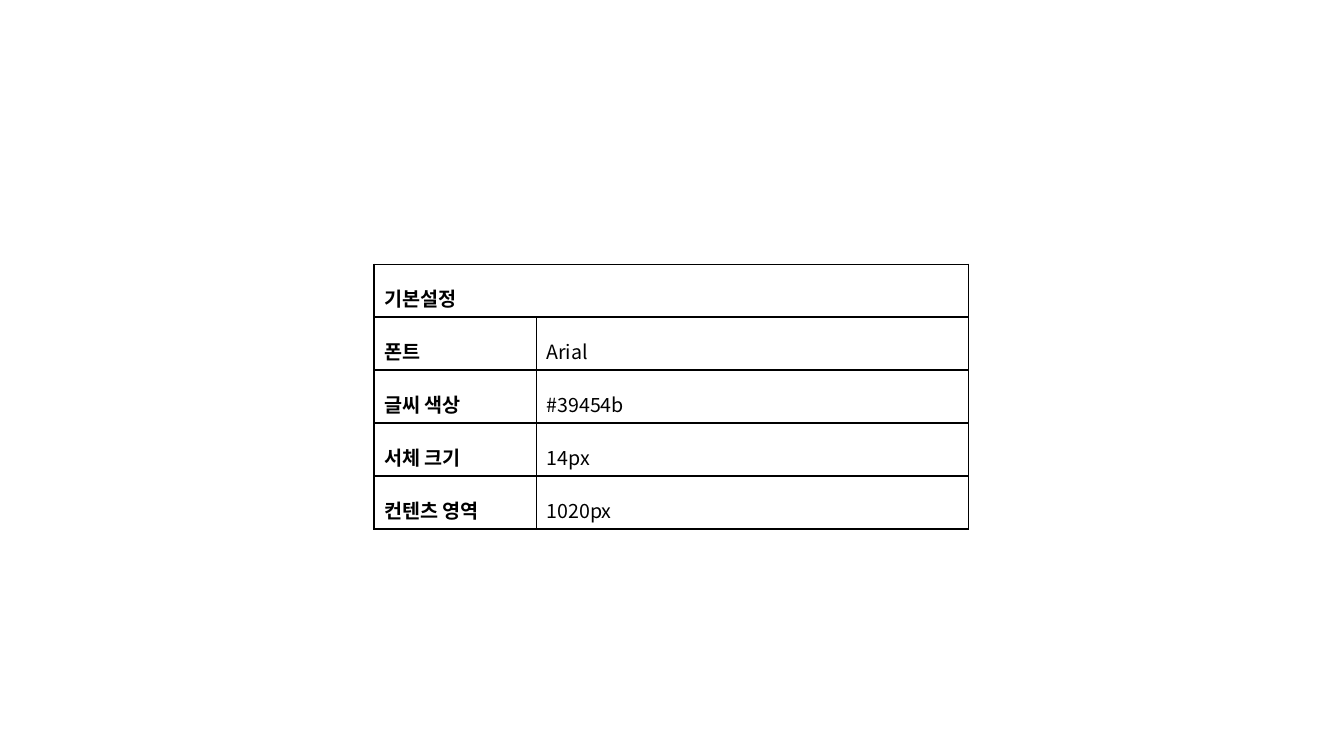
from dataclasses import dataclass

from lxml.etree import SubElement
from pptx import Presentation
from pptx.dml.color import RGBColor
from pptx.oxml.ns import qn
from pptx.util import Inches, Pt


@dataclass(frozen=True)
class Theme:
    font: str = "Noto Sans CJK KR"
    ink: str = "000000"
    text_size: int = 14
    line_spacing: float = 1.5
    border: float = 1


THEME = Theme()
SLIDE_SIZE = (13.33, 7.5)
SETTINGS_BOX = (3.71, 2.62, 5.9, 2.05)
LABEL_SHARE = 1.61 / 5.9

HEADING = "기본설정"
SETTINGS = [
    ("폰트", "Arial"),
    ("글씨 색상", "#39454b"),
    ("서체 크기", "14px"),
    ("컨텐츠 영역", "1020px"),
]


def draw_borders(cell):
    """Rule all four sides; borders must precede the fill in tcPr."""
    props = cell._tc.get_or_add_tcPr()
    for position, side in enumerate(("lnL", "lnR", "lnT", "lnB")):
        line = SubElement(props, qn(f"a:{side}"), w=str(Pt(THEME.border)))
        fill = SubElement(line, qn("a:solidFill"))
        SubElement(fill, qn("a:srgbClr"), val=THEME.ink)
        props.insert(position, line)


def write_cell(cell, text, bold):
    cell.text = text
    paragraph = cell.text_frame.paragraphs[0]
    paragraph.line_spacing = THEME.line_spacing
    font = paragraph.font
    font.name, font.size, font.bold = THEME.font, Pt(THEME.text_size), bold
    font.color.rgb = RGBColor.from_string(THEME.ink)
    # Korean glyphs take the East Asian typeface
    SubElement(font._element, qn("a:ea"), typeface=THEME.font)


def add_settings_table(slide, box):
    left, top, width, height = map(Inches, box)
    rows = [(HEADING, "")] + SETTINGS
    table = slide.shapes.add_table(len(rows), 2, left, top, width, height).table
    table.first_row = table.horz_banding = False
    table.columns[0].width = round(width * LABEL_SHARE)
    table.columns[1].width = width - table.columns[0].width

    # Labels and values
    for row, texts in enumerate(rows):
        for column, text in enumerate(texts):
            cell = table.cell(row, column)
            cell.fill.background()
            draw_borders(cell)
            write_cell(cell, text, bold=column == 0)

    # Heading across both columns
    table.cell(0, 0).merge(table.cell(0, 1))


def main():
    deck = Presentation()
    deck.slide_width, deck.slide_height = map(Inches, SLIDE_SIZE)
    slide = deck.slides.add_slide(deck.slide_layouts[6])
    add_settings_table(slide, SETTINGS_BOX)
    deck.save("out.pptx")


if __name__ == "__main__":
    main()
